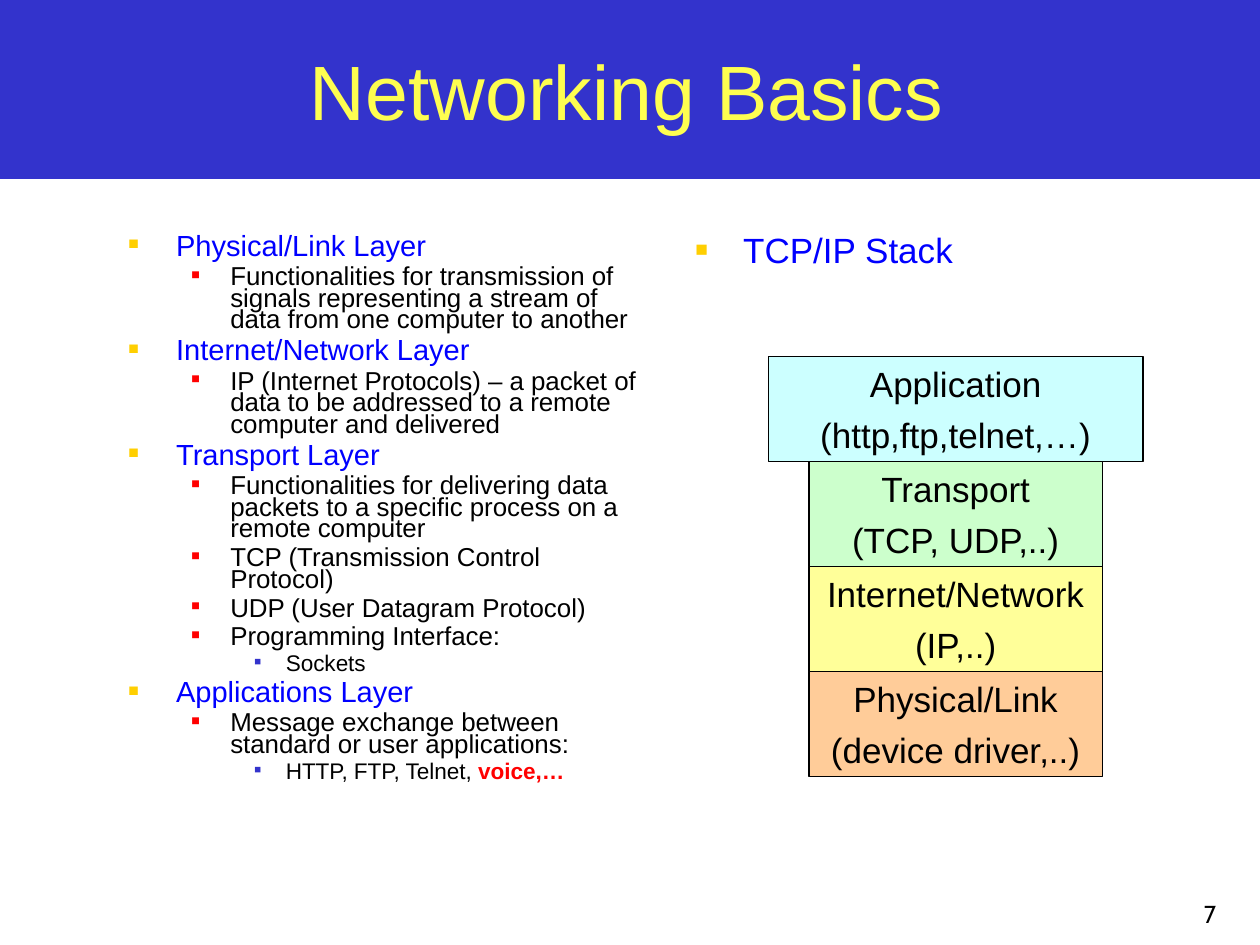
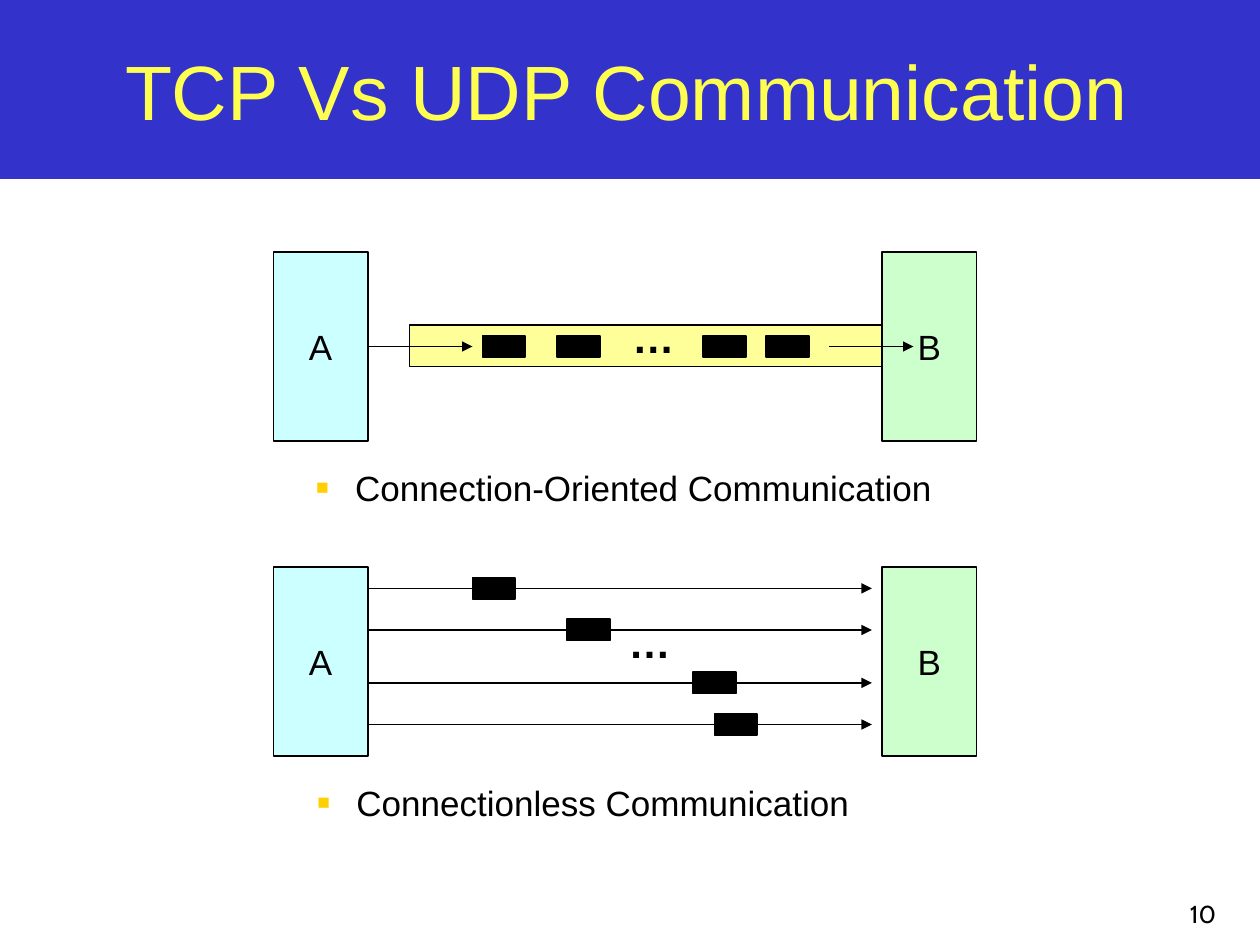
from dataclasses import dataclass

from lxml import etree
from pptx import Presentation
from pptx.dml.color import RGBColor
from pptx.enum.shapes import MSO_CONNECTOR, MSO_SHAPE
from pptx.enum.text import MSO_ANCHOR as Anchor, PP_ALIGN as Align
from pptx.oxml.ns import qn
from pptx.util import Inches, Pt

FONT, NUMBER_FONT = "Arial", "Cabin"
BLACK, BLUE, RED, GOLD = "000000", "0000FF", "FF0000", "FFCF01"
BAND, TITLE = "3333CC", "FEFE50"
CYAN, GREEN, YELLOW, ORANGE = "CCFFFF", "CCFFCC", "FFFF99", "FFCC99"
PACKET_WIDTH, PACKET_HEIGHT = 0.34, 0.17


@dataclass(frozen=True)
class Area:
    left: float
    top: float
    width: float
    height: float

    def lengths(self):
        return [Inches(side) for side in (self.left, self.top, self.width, self.height)]


@dataclass(frozen=True)
class BulletStyle:
    """How one outline level looks; indents in inches, sizes in points."""
    size: float
    color: str
    bullet_color: str
    bullet_percent: int
    margin: float
    hanging: float
    before: float
    spacing: float = 1.0


@dataclass(frozen=True)
class Item:
    level: int
    text: str
    highlight: str = ""


@dataclass(frozen=True)
class Layer:
    name: str
    examples: str
    fill: str
    left: float = 6.42
    width: float = 2.33


@dataclass(frozen=True)
class Packet:
    left: float
    middle: float


OUTLINE = [
    BulletStyle(16.6, BLUE, GOLD, 60, 0.38, 0.38, 4.5, 0.7),
    BulletStyle(14.8, BLACK, RED, 55, 0.81, 0.31, 4, 0.7),
    BulletStyle(12.9, BLACK, BAND, 50, 1.25, 0.25, 3.5, 0.7),
]
STACK_HEADING = [BulletStyle(20, BLUE, GOLD, 60, 0.38, 0.38, 5, 0.8)]
CAPTION = [BulletStyle(20, BLACK, GOLD, 60, 0.31, 0.31, 5)]

LAYER_NOTES = [
    Item(0, "Physical/Link Layer"),
    Item(1, "Functionalities for transmission of signals representing a stream of "
            "data from one computer to another"),
    Item(0, "Internet/Network Layer"),
    Item(1, "IP (Internet Protocols) – a packet of data to be addressed to a remote "
            "computer and delivered"),
    Item(0, "Transport Layer"),
    Item(1, "Functionalities for delivering data packets to a specific process on a "
            "remote computer"),
    Item(1, "TCP (Transmission Control Protocol)"),
    Item(1, "UDP (User Datagram Protocol)"),
    Item(1, "Programming Interface:"),
    Item(2, "Sockets"),
    Item(0, "Applications Layer"),
    Item(1, "Message exchange between standard or user applications:"),
    Item(2, "HTTP, FTP, Telnet, ", "voice,…"),
]
LAYERS = [
    Layer("Application", "(http,ftp,telnet,…)", CYAN, 6.1, 2.97),
    Layer("Transport", "(TCP, UDP,..)", GREEN),
    Layer("Internet/Network", "(IP,..)", YELLOW),
    Layer("Physical/Link", "(device driver,..)", ORANGE),
]
PIPE_MIDDLE = 2.75
PIPE_PACKETS = [Packet(left, PIPE_MIDDLE) for left in (3.83, 4.42, 5.58, 6.08)]
DATAGRAMS = [Packet(3.75, 4.67), Packet(4.5, 5), Packet(5.5, 5.42), Packet(5.67, 5.75)]


def rgb(color: str) -> RGBColor:
    return RGBColor.from_string(color)


def set_font(font, size: float, color: str, name: str = FONT, bold: bool = False) -> None:
    font.name, font.size, font.bold = name, Pt(size), bold
    font.color.rgb = rgb(color)


def set_frame(frame, anchor=Anchor.TOP) -> None:
    frame.word_wrap = True
    frame.vertical_anchor = anchor
    frame.margin_left = frame.margin_right = Inches(0.1)
    frame.margin_top = frame.margin_bottom = Inches(0.05)


def write_lines(frame, lines: list[str], size: float, color: str = BLACK,
                align=Align.CENTER, name: str = FONT, bold: bool = False) -> None:
    for index, line in enumerate(lines):
        para = frame.add_paragraph() if index else frame.paragraphs[0]
        para.text, para.alignment = line, align
        if index:
            para.space_before = Pt(5)
        set_font(para.font, size, color, name, bold)


def add_text(slide, area: Area, text: str, size: float, color: str = BLACK,
             align=Align.LEFT, anchor=Anchor.TOP, name: str = FONT,
             bold: bool = False) -> None:
    frame = slide.shapes.add_textbox(*area.lengths()).text_frame
    set_frame(frame, anchor)
    write_lines(frame, [text], size, color, align, name, bold)


def add_box(slide, area: Area, fill: str, lines: list[str] | None = None,
            anchor=Anchor.MIDDLE, line: str | None = BLACK):
    box = slide.shapes.add_shape(MSO_SHAPE.RECTANGLE, *area.lengths())
    box.shadow.inherit = False
    box.fill.solid()
    box.fill.fore_color.rgb = rgb(fill)
    if line:
        box.line.color.rgb = rgb(line)
        box.line.width = Pt(1)
    else:
        box.line.fill.background()
    if lines:
        set_frame(box.text_frame, anchor)
        write_lines(box.text_frame, lines, 20)
    return box


def add_arrow(slide, left: float, right: float, middle: float):
    arrow = slide.shapes.add_connector(MSO_CONNECTOR.STRAIGHT, Inches(left), Inches(middle),
                                       Inches(right), Inches(middle))
    arrow.line.color.rgb = rgb(BLACK)
    arrow.line.width = Pt(1)
    etree.SubElement(arrow.line._get_or_add_ln(), qn("a:tailEnd"), type="triangle")
    etree.SubElement(arrow._element.spPr, qn("a:effectLst"))
    return arrow


def add_bullet(para, style: BulletStyle) -> None:
    props = para._p.get_or_add_pPr()
    props.set("marL", str(Inches(style.margin)))
    props.set("indent", str(-Inches(style.hanging)))
    bullet_color = etree.SubElement(props, qn("a:buClr"))
    etree.SubElement(bullet_color, qn("a:srgbClr"), val=style.bullet_color)
    etree.SubElement(props, qn("a:buSzPct"), val=str(style.bullet_percent * 1000))
    etree.SubElement(props, qn("a:buFont"), typeface=FONT)
    etree.SubElement(props, qn("a:buChar"), char="■")


def add_outline(slide, area: Area, items: list[Item], styles: list[BulletStyle]):
    frame = slide.shapes.add_textbox(*area.lengths()).text_frame
    set_frame(frame)
    for index, item in enumerate(items):
        style = styles[item.level]
        para = frame.add_paragraph() if index else frame.paragraphs[0]
        para.level = item.level
        add_bullet(para, style)
        para.line_spacing = style.spacing
        if index:
            para.space_before = Pt(style.before)
        set_font(para.font, style.size, style.color)
        para.add_run().text = item.text
        if item.highlight:
            span = para.add_run()
            span.text = item.highlight
            set_font(span.font, style.size, RED, bold=True)
    return frame


def add_page(deck, title: str, number: int):
    """Add a slide with the title band and the page number."""
    slide = deck.slides.add_slide(deck.slide_layouts[6])
    add_box(slide, Area(0, 0, 10, 1.42), BAND, line=None)
    add_text(slide, Area(7.67, 6.92, 2.08, 0.5), str(number), 14, align=Align.RIGHT,
             anchor=Anchor.BOTTOM, name=NUMBER_FONT)
    add_text(slide, Area(0.17, 0.17, 9.61, 1.08), title, 44, TITLE, Align.CENTER,
             Anchor.MIDDLE)
    return slide


def add_hosts(slide, top: float):
    """Add hosts A and B and return A."""
    host_a = add_box(slide, Area(2.17, top, 0.75, 1.5), CYAN, ["A"])
    add_box(slide, Area(7, top, 0.75, 1.5), GREEN, ["B"])
    return host_a


def add_packet(slide, packet: Packet) -> None:
    top = packet.middle - PACKET_HEIGHT / 2
    add_box(slide, Area(packet.left, top, PACKET_WIDTH, PACKET_HEIGHT), BLACK)


def add_ellipsis(slide, left: float, top: float) -> None:
    add_text(slide, Area(left, top, 0.53, 0.5), "…", 24, bold=True)


def add_caption(slide, area: Area, text: str) -> None:
    frame = add_outline(slide, area, [Item(0, text)], CAPTION)
    frame.margin_right = 0


def build_basics(deck) -> None:
    slide = add_page(deck, "Networking Basics", 7)
    add_outline(slide, Area(0.92, 1.83, 4.33, 4.87), LAYER_NOTES, OUTLINE)
    add_outline(slide, Area(5.42, 1.83, 4.33, 4.87), [Item(0, "TCP/IP Stack")],
                STACK_HEADING)
    height = 5 / 6
    for index, layer in enumerate(LAYERS):
        area = Area(layer.left, 2.83 + index * height, layer.width, height)
        add_box(slide, area, layer.fill, [layer.name, layer.examples], Anchor.TOP)


def build_communication(deck) -> None:
    slide = add_page(deck, "TCP Vs UDP Communication", 10)
    host_a = add_hosts(slide, 2)
    add_hosts(slide, 4.5)

    add_box(slide, Area(3.25, 2.58, 3.75, 0.33), YELLOW)
    add_arrow(slide, 2.92, 3.75, PIPE_MIDDLE).begin_connect(host_a, 3)
    add_arrow(slide, 6.58, 7.25, PIPE_MIDDLE)
    for packet in PIPE_PACKETS:
        add_packet(slide, packet)
    add_ellipsis(slide, 4.92, 2.42)
    add_caption(slide, Area(2.41, 3.65, 5.09, 0.43), "Connection-Oriented Communication")

    for packet in DATAGRAMS:
        add_arrow(slide, 2.92, 6.92, packet.middle)
        add_packet(slide, packet)
    add_ellipsis(slide, 4.89, 4.84)
    add_caption(slide, Area(2.42, 6.15, 4.43, 0.43), "Connectionless Communication")


def main() -> None:
    deck = Presentation()
    deck.slide_width, deck.slide_height = Inches(10), Inches(7.5)
    build_basics(deck)
    build_communication(deck)
    deck.save("out.pptx")


if __name__ == "__main__":
    main()
